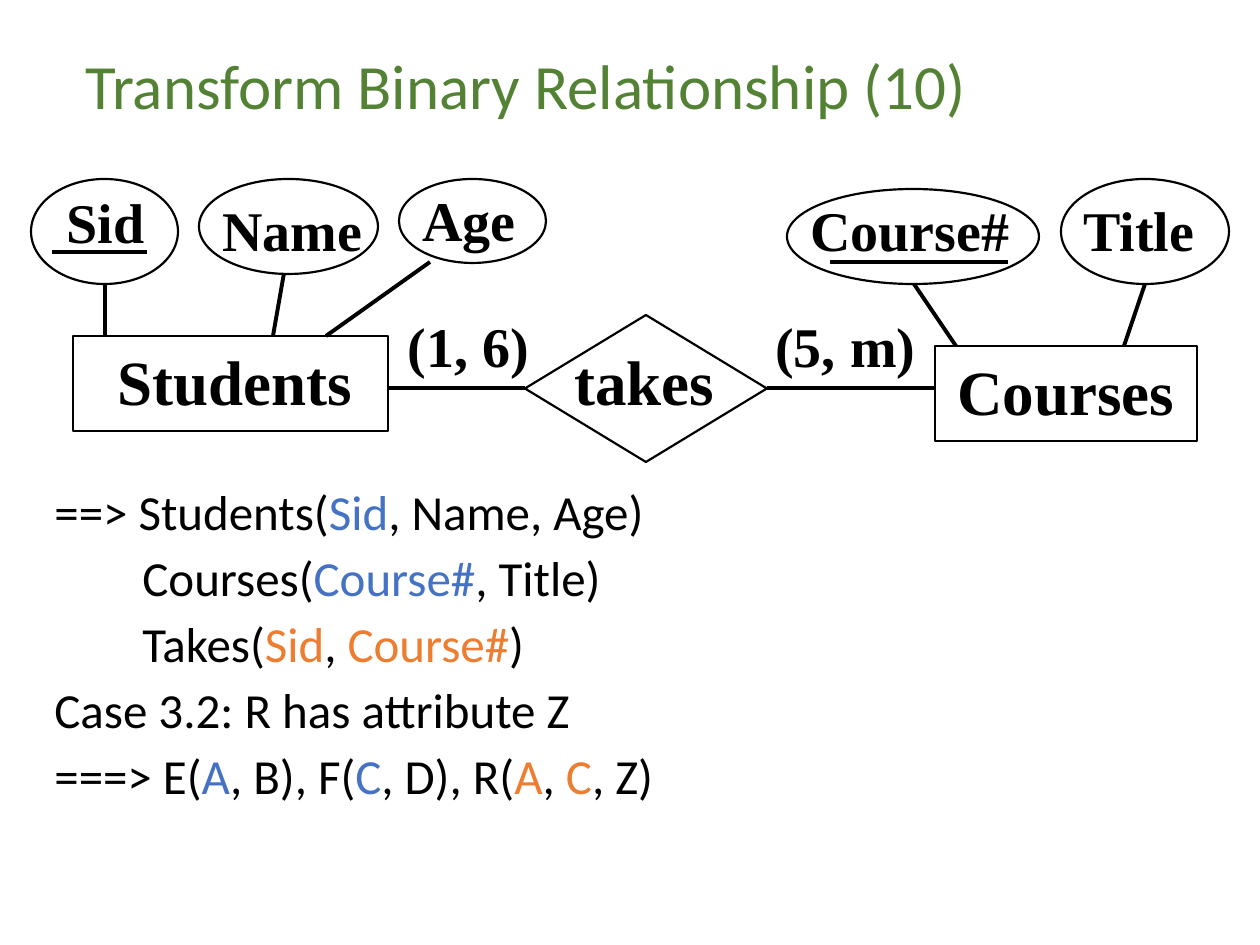
from typing import NamedTuple

from lxml import etree
from pptx import Presentation
from pptx.dml.color import RGBColor
from pptx.enum.shapes import MSO_CONNECTOR, MSO_SHAPE
from pptx.enum.text import MSO_ANCHOR
from pptx.oxml.ns import qn
from pptx.util import Emu, Pt

ELLIPSE = MSO_SHAPE.OVAL
RECTANGLE = MSO_SHAPE.RECTANGLE
DIAMOND = MSO_SHAPE.DIAMOND
STRAIGHT = MSO_CONNECTOR.STRAIGHT
MIDDLE = MSO_ANCHOR.MIDDLE

PX = 914400 / 126
COLORS = {
    "title": "548235",
    "ink": "000000",
    "key": "4472C4",
    "foreign": "ED7D31",
}
BODY_FONT = "Calibri"
DIAGRAM_FONT = "Times New Roman"


class Outline(NamedTuple):
    kind: MSO_SHAPE
    left: int
    top: int
    width: int
    height: int


class Label(NamedTuple):
    text: str
    left: int
    top: int
    width: int
    size: int = 32


class Line(NamedTuple):
    x1: int
    y1: int
    x2: int
    y2: int


class Relation(NamedTuple):
    """A line of text as (text, colour name) runs."""
    runs: list[tuple[str, str]]
    indented: bool = False


OUTLINES = [
    Outline(DIAMOND, 525, 315, 242, 147),
    Outline(RECTANGLE, 73, 336, 315, 95),
    Outline(RECTANGLE, 935, 346, 262, 95),
    Outline(ELLIPSE, 31, 179, 147, 105),
    Outline(ELLIPSE, 199, 179, 179, 95),
    Outline(ELLIPSE, 399, 179, 147, 84),
    Outline(ELLIPSE, 787, 189, 252, 95),
    Outline(ELLIPSE, 1061, 179, 168, 105),
]
LABELS = [
    Label("takes", 562, 336, 180, 36),
    Label("Students", 105, 336, 270, 36),
    Label("Courses", 945, 346, 252, 36),
    Label("Sid", 54, 181, 116),
    Label("Name", 210, 189, 176),
    Label("Age", 410, 179, 130),
    Label("Course#", 798, 189, 240),
    Label("Title", 1071, 189, 150),
    Label("(1, 6)", 395, 305, 160),
    Label("(5, m)", 763, 305, 176),
]
KEY_UNDERLINES = [Line(52, 252, 147, 252), Line(830, 262, 1008, 262)]
LINKS = [
    Line(105, 336, 105, 284),
    Line(273, 336, 284, 273),
    Line(430, 262, 326, 336),
    Line(956, 346, 914, 284),
    Line(1145, 284, 1124, 346),
    Line(388, 388, 525, 388),
    Line(767, 388, 935, 388),
]
RELATIONS = [
    Relation([("==> Students(", "ink"), ("Sid", "key"), (", Name, Age)", "ink")]),
    Relation([("Courses(", "ink"), ("Course#", "key"), (", Title)", "ink")], True),
    Relation([("Takes(", "ink"), ("Sid", "foreign"), (", ", "ink"),
              ("Course#", "foreign"), (")", "ink")], True),
    Relation([("Case 3.2: R has attribute Z", "ink")]),
    Relation([("===> E(", "ink"), ("A", "key"), (", B), F(", "ink"), ("C", "key"),
              (", D), R(", "ink"), ("A", "foreign"), (", ", "ink"),
              ("C", "foreign"), (", Z)", "ink")]),
]


def px(value: int) -> Emu:
    return Emu(round(value * PX))


def color(name: str) -> RGBColor:
    return RGBColor.from_string(COLORS[name])


def add_text_frame(slide, left: int, top: int, width: int, height: int):
    box = slide.shapes.add_textbox(px(left), px(top), px(width), px(height))
    box.text_frame.word_wrap = True
    return box.text_frame


def set_font(paragraph, name: str, size: int, color_name: str, bold: bool = False) -> None:
    font = paragraph.font
    font.name = name
    font.size = Pt(size)
    font.bold = bold
    font.color.rgb = color(color_name)


def add_title(slide, text: str) -> None:
    frame = add_text_frame(slide, 73, 42, 1113, 95)
    frame.vertical_anchor = MIDDLE
    paragraph = frame.paragraphs[0]
    paragraph.text = text
    paragraph.line_spacing = 0.9
    set_font(paragraph, BODY_FONT, 36, "title")


def add_outline(slide, outline: Outline) -> None:
    shape = slide.shapes.add_shape(outline.kind, *map(px, outline[1:]))
    shape.shadow.inherit = False
    shape.fill.background()
    shape.line.color.rgb = color("ink")
    shape.line.width = Pt(1.25)


def add_label(slide, label: Label) -> None:
    height = 88 if label.size > 32 else 81
    frame = add_text_frame(slide, label.left, label.top, label.width, height)
    paragraph = frame.paragraphs[0]
    paragraph.text = label.text
    set_font(paragraph, DIAGRAM_FONT, label.size, "ink", bold=True)


def add_line(slide, line: Line) -> None:
    connector = slide.shapes.add_connector(STRAIGHT, *map(px, line))
    connector.line.color.rgb = color("ink")
    connector.line.width = Pt(2.25)
    etree.SubElement(connector._element.spPr, qn("a:effectLst"))


def add_relations(slide, relations: list[Relation]) -> None:
    frame = add_text_frame(slide, 42, 482, 1176, 443)
    for index, relation in enumerate(relations):
        paragraph = frame.add_paragraph() if index else frame.paragraphs[0]
        paragraph.line_spacing = 0.9
        paragraph.space_before = Pt(7.5 if index else 0)
        properties = paragraph._p.get_or_add_pPr()
        properties.set("marL", str(px(88 if relation.indented else 24)))
        properties.set("indent", str(px(0 if relation.indented else -24)))
        set_font(paragraph, BODY_FONT, 28, "ink")
        for text, color_name in relation.runs:
            run = paragraph.add_run()
            run.text = text
            run.font.color.rgb = color(color_name)


def main() -> None:
    presentation = Presentation()
    presentation.slide_width = px(1260)
    presentation.slide_height = px(945)
    slide = presentation.slides.add_slide(presentation.slide_layouts[6])
    add_title(slide, "Transform Binary Relationship (10)")
    add_relations(slide, RELATIONS)
    for outline in OUTLINES:
        add_outline(slide, outline)
    for line in KEY_UNDERLINES + LINKS:
        add_line(slide, line)
    for label in LABELS:
        add_label(slide, label)
    presentation.save("out.pptx")


if __name__ == "__main__":
    main()
